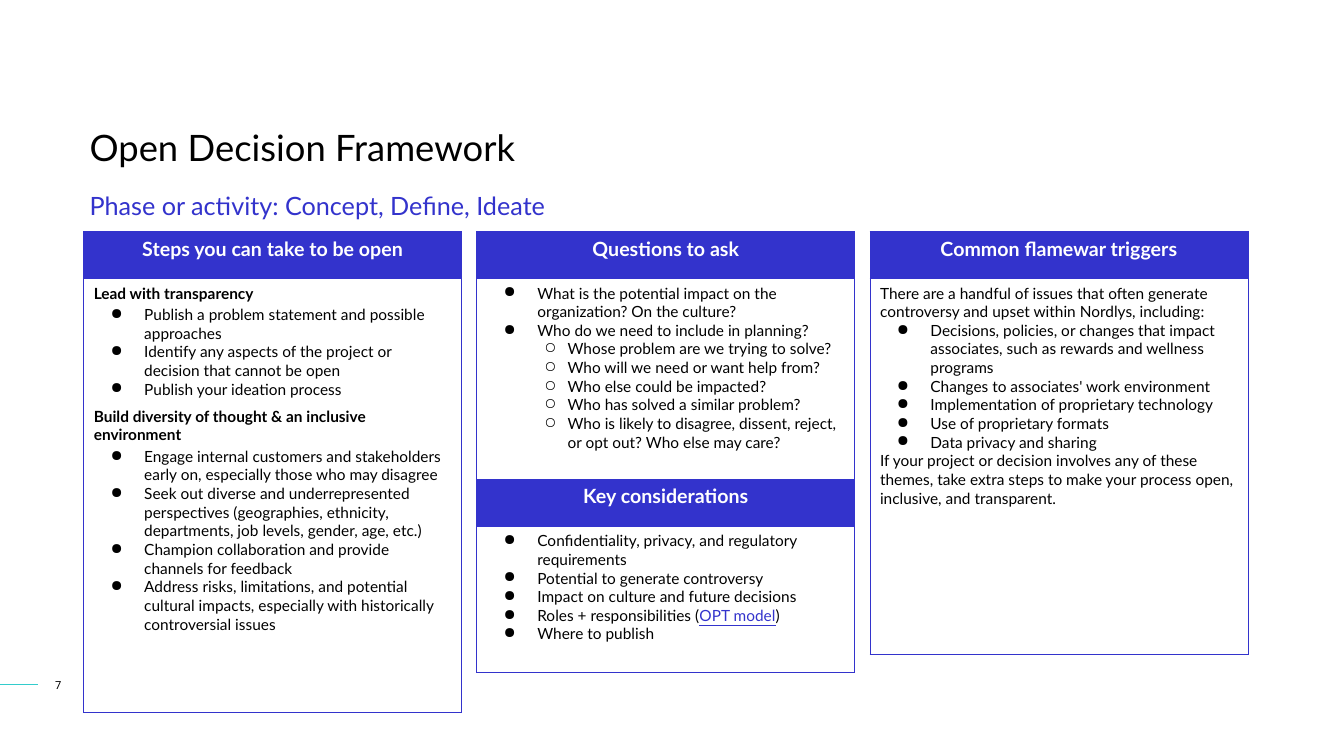
from dataclasses import dataclass

from lxml.etree import SubElement
from pptx import Presentation
from pptx.dml.color import RGBColor
from pptx.enum.shapes import MSO_CONNECTOR
from pptx.enum.text import MSO_ANCHOR, PP_ALIGN
from pptx.oxml.ns import qn
from pptx.util import Pt


@dataclass(frozen=True)
class Theme:
    primary: str = "3333CC"
    accent: str = "33CCCC"
    ink: str = "000000"
    paper: str = "FFFFFF"
    font: str = "Lato"
    number_font: str = "Roboto"
    title_size: int = 26
    subtitle_size: int = 18
    header_size: int = 14
    body_size: int = 11
    number_size: int = 8
    line_width: float = 0.75


@dataclass(frozen=True)
class Bullet:
    character: str
    level: int
    margin: float
    hanging: float


@dataclass(frozen=True)
class Line:
    """One paragraph; link is a highlighted phrase, followed by tail."""
    text: str
    bullet: Bullet | None = None
    heading: bool = False
    link: str = ""
    tail: str = ""


THEME = Theme()
DOT = Bullet("●", 0, 36, 24)
RING = Bullet("○", 1, 57.6, 16.5)

COLUMN_LEFT, COLUMN_TOP = 59.8, 165.6
COLUMN_WIDTH, COLUMN_GAP = 270, 10.8
HEADER_HEIGHT = 33.5
KEY_TOP = 342.5


def dots(*texts):
    return [Line(text, DOT) for text in texts]


def rings(*texts):
    return [Line(text, RING) for text in texts]


STEPS = [
    Line("Lead with transparency", heading=True),
    *dots(
        "Publish a problem statement and possible approaches",
        "Identify any aspects of the project or decision that cannot be open",
        "Publish your ideation process",
    ),
    Line("Build diversity of thought & an inclusive environment", heading=True),
    *dots(
        "Engage internal customers and stakeholders early on, especially those who may disagree",
        "Seek out diverse and underrepresented perspectives "
        "(geographies, ethnicity, departments, job levels, gender, age, etc.)",
        "Champion collaboration and provide channels for feedback",
        "Address risks, limitations, and potential cultural impacts, "
        "especially with historically controversial issues",
    ),
]
QUESTIONS = [
    *dots(
        "What is the potential impact on the organization? On the culture?",
        "Who do we need to include in planning?",
    ),
    *rings(
        "Whose problem are we trying to solve?",
        "Who will we need or want help from?",
        "Who else could be impacted?",
        "Who has solved a similar problem?",
        "Who is likely to disagree, dissent, reject, or opt out? Who else may care?",
    ),
]
CONSIDERATIONS = [
    *dots(
        "Confidentiality, privacy, and regulatory requirements",
        "Potential to generate controversy",
        "Impact on culture and future decisions",
    ),
    Line("Roles + responsibilities (", DOT, link="OPT model", tail=")"),
    *dots("Where to publish"),
]
TRIGGERS = [
    Line("There are a handful of issues that often generate controversy "
         "and upset within Nordlys, including:"),
    *dots(
        "Decisions, policies, or changes that impact associates, "
        "such as rewards and wellness programs",
        "Changes to associates' work environment",
        "Implementation of proprietary technology",
        "Use of proprietary formats",
        "Data privacy and sharing",
    ),
    Line("If your project or decision involves any of these themes, take extra steps "
         "to make your process open, inclusive, and transparent."),
]


def rgb(color):
    return RGBColor.from_string(color)


def write_text(paragraph, text, *, size=THEME.body_size, color=THEME.ink,
               font=THEME.font, bold=False, underline=False):
    run = paragraph.add_run()
    run.text = text
    run.font.size = Pt(size)
    run.font.name = font
    run.font.bold = bold
    run.font.underline = underline
    run.font.color.rgb = rgb(color)


def add_bullet(paragraph, bullet):
    paragraph.level = bullet.level
    properties = paragraph._p.get_or_add_pPr()
    properties.set("marL", str(Pt(bullet.margin)))
    properties.set("indent", str(-Pt(bullet.hanging)))
    color = SubElement(properties, qn("a:buClr"))
    SubElement(color, qn("a:srgbClr"), val=THEME.ink)
    SubElement(properties, qn("a:buChar"), char=bullet.character)


def add_label(slide, box, text, **text_format):
    shape = slide.shapes.add_textbox(*map(Pt, box))
    frame = shape.text_frame
    frame.word_wrap = True
    frame.vertical_anchor = MSO_ANCHOR.MIDDLE
    frame.margin_left = frame.margin_right = frame.margin_top = frame.margin_bottom = 0
    write_text(frame.paragraphs[0], text, **text_format)


def add_borders(cell):
    properties = cell._tc.get_or_add_tcPr()
    for side in ("lnL", "lnR", "lnT", "lnB"):
        border = SubElement(properties, qn(f"a:{side}"), w=str(Pt(THEME.line_width)))
        fill = SubElement(border, qn("a:solidFill"))
        SubElement(fill, qn("a:srgbClr"), val=THEME.primary)


def fill_body(frame, lines):
    previous = None
    for line in lines:
        paragraph = frame.add_paragraph() if previous else frame.paragraphs[0]
        if previous and line.heading:
            paragraph.space_before = Pt(6)
        elif previous and previous.heading:
            paragraph.space_before = Pt(2)
        if line.bullet:
            add_bullet(paragraph, line.bullet)
        write_text(paragraph, line.text, bold=line.heading)
        if line.link:
            write_text(paragraph, line.link, color=THEME.primary, underline=True)
            write_text(paragraph, line.tail)
        previous = line


def add_panel(slide, column, top, body_height, title, lines):
    """Add a two-row table: a filled header above an outlined body."""
    left = COLUMN_LEFT + column * (COLUMN_WIDTH + COLUMN_GAP)
    box = (left, top, COLUMN_WIDTH, HEADER_HEIGHT + body_height)
    table = slide.shapes.add_table(2, 1, *map(Pt, box)).table
    table.first_row = table.horz_banding = False
    table.rows[0].height, table.rows[1].height = Pt(HEADER_HEIGHT), Pt(body_height)
    header, body = table.cell(0, 0), table.cell(1, 0)
    for cell in (header, body):
        cell.margin_left = cell.margin_right = Pt(7.2)
        cell.margin_top = cell.margin_bottom = Pt(3.6)
        add_borders(cell)
    header.fill.solid()
    header.fill.fore_color.rgb = rgb(THEME.primary)
    body.fill.background()
    heading = header.text_frame.paragraphs[0]
    heading.alignment = PP_ALIGN.CENTER
    write_text(heading, title, size=THEME.header_size, color=THEME.paper, bold=True)
    fill_body(body.text_frame, lines)


def add_rule(slide, start, end):
    rule = slide.shapes.add_connector(MSO_CONNECTOR.STRAIGHT, *map(Pt, start + end))
    rule.line.color.rgb = rgb(THEME.accent)
    rule.line.width = Pt(THEME.line_width)
    SubElement(rule._element.spPr, qn("a:effectLst"))


def main():
    presentation = Presentation()
    presentation.slide_width, presentation.slide_height = Pt(960), Pt(540)
    slide = presentation.slides.add_slide(presentation.slide_layouts[6])

    add_rule(slide, (0, 489), (27, 489))
    add_label(slide, (64, 83.5, 717, 43), "Open Decision Framework", size=THEME.title_size)
    add_label(slide, (64, 132.5, 717, 29), "Phase or activity: Concept, Define, Ideate",
              size=THEME.subtitle_size, color=THEME.primary)
    add_panel(slide, 0, COLUMN_TOP, 309.5, "Steps you can take to be open", STEPS)
    add_panel(slide, 1, COLUMN_TOP, 164, "Questions to ask", QUESTIONS)
    add_panel(slide, 1, KEY_TOP, 104.5, "Key considerations", CONSIDERATIONS)
    add_panel(slide, 2, COLUMN_TOP, 268.5, "Common flamewar triggers", TRIGGERS)
    add_label(slide, (39.5, 470, 20, 38), "7",
              size=THEME.number_size, font=THEME.number_font)

    presentation.save("out.pptx")


if __name__ == "__main__":
    main()
